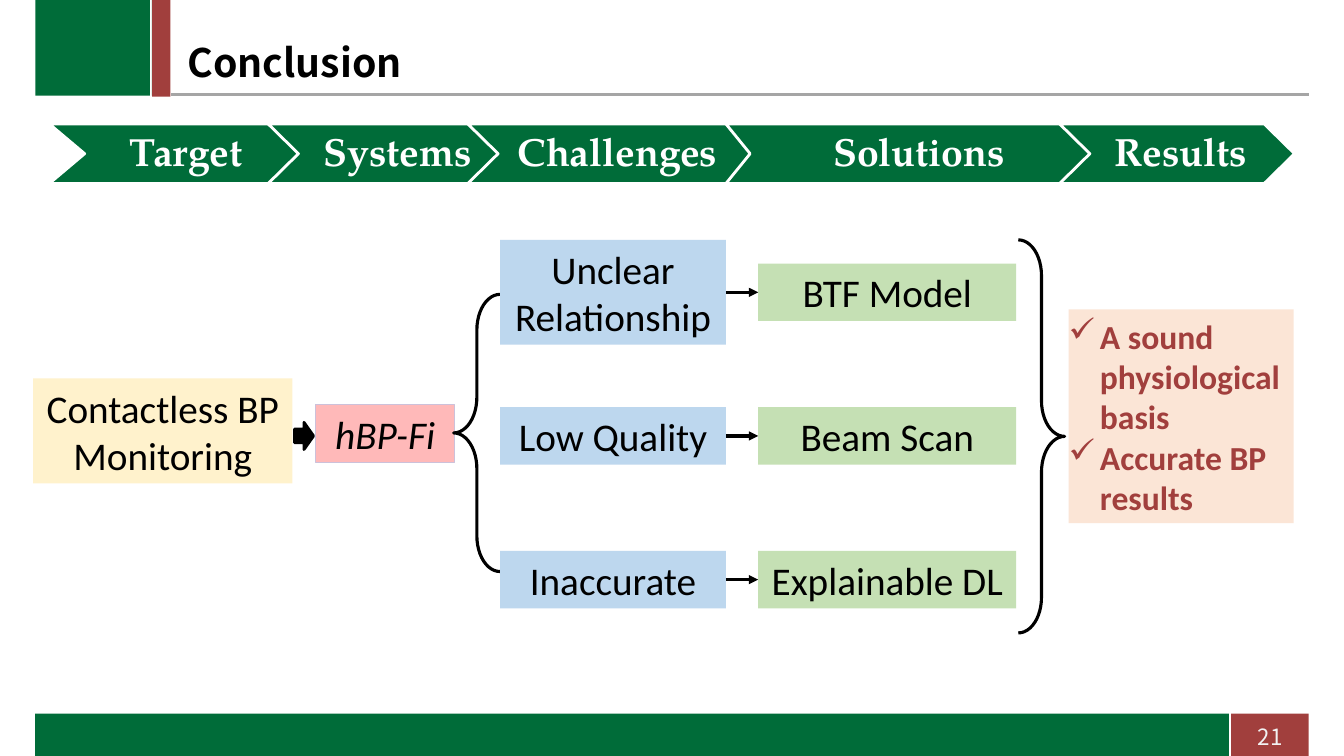
from dataclasses import dataclass

from lxml import etree
from pptx import Presentation
from pptx.dml.color import RGBColor
from pptx.enum.shapes import MSO_CONNECTOR, MSO_SHAPE
from pptx.enum.text import MSO_ANCHOR, PP_ALIGN
from pptx.oxml.ns import qn
from pptx.util import Inches, Pt

RECTANGLE = MSO_SHAPE.RECTANGLE
CHEVRON = MSO_SHAPE.CHEVRON
RIGHT_ARROW = MSO_SHAPE.RIGHT_ARROW
LEFT_BRACE = MSO_SHAPE.LEFT_BRACE
RIGHT_BRACE = MSO_SHAPE.RIGHT_BRACE
STRAIGHT = MSO_CONNECTOR.STRAIGHT
MIDDLE = MSO_ANCHOR.MIDDLE
LEFT, CENTER = PP_ALIGN.LEFT, PP_ALIGN.CENTER
TITLE_ONLY = 5
LEFT_SITE, RIGHT_SITE = 1, 3
GRID = Inches(0.1)


@dataclass(frozen=True)
class Theme:
    green: str = "006C39"
    red: str = "A13F3D"
    grey: str = "A5A5A5"
    white: str = "FFFFFF"
    black: str = "000000"
    number: str = "F2F2F2"
    target: str = "FFF2CC"
    system: str = "FFB9B9"
    system_edge: str = "CCC1DA"
    challenge: str = "BDD7EE"
    solution: str = "C5E0B4"
    result: str = "FBE5D6"
    heading_font: str = "Noto Sans CJK SC"
    step_font: str = "TeX Gyre Pagella"
    body_font: str = "Calibri"
    large: int = 28
    medium: int = 24
    small: int = 16


THEME = Theme()


@dataclass(frozen=True)
class Box:
    column: float
    row: float
    columns: float
    rows: float

    def within(self, column, row, columns, rows):
        return Box(self.column + column, self.row + row, columns, rows)

    def emu(self):
        return [round(v * GRID) for v in (self.column, self.row, self.columns, self.rows)]


def write(holder, text, font=THEME.body_font, size=THEME.large, color=THEME.black,
          bold=False, italic=False, align=CENTER, insets=(0.1, 0.1), spacing=1.0, bullet=None):
    frame = holder.text_frame
    frame.word_wrap = True
    frame.vertical_anchor = MIDDLE
    frame.margin_left, frame.margin_right = map(Inches, insets)
    frame.margin_top = frame.margin_bottom = Inches(0.05)
    frame.text = text
    for paragraph in frame.paragraphs:
        paragraph.alignment = align
        paragraph.line_spacing = spacing
        if bullet:
            properties = paragraph._p.get_or_add_pPr()
            properties.set("marL", str(Inches(0.31)))
            properties.set("indent", str(-Inches(0.31)))
            etree.SubElement(properties, qn("a:buChar")).set("char", bullet)
        for run in paragraph.runs:
            run.font.name = font
            run.font.size = Pt(size)
            run.font.bold = bold
            run.font.italic = italic
            run.font.color.rgb = RGBColor.from_string(color)


def add_block(slide, box, kind=RECTANGLE, fill=None, edge=None, weight=0.75, adjust=()):
    block = slide.shapes.add_shape(kind, *box.emu())
    block.shadow.inherit = False
    if fill:
        block.fill.solid()
        block.fill.fore_color.rgb = RGBColor.from_string(fill)
    else:
        block.fill.background()
    if edge:
        block.line.color.rgb = RGBColor.from_string(edge)
        block.line.width = Pt(weight)
    else:
        block.line.fill.background()
    for index, value in enumerate(adjust):
        block.adjustments[index] = value
    return block


def add_rule(slide, box, color, weight):
    left, top, width, height = box.emu()
    rule = slide.shapes.add_connector(STRAIGHT, left, top, left + width, top + height)
    rule.line.color.rgb = RGBColor.from_string(color)
    rule.line.width = Pt(weight)
    etree.SubElement(rule._element.spPr, qn("a:effectLst"))
    return rule


def link(slide, source, goal):
    arrow = add_rule(slide, Box(0, 0, 0, 0), THEME.black, 2.25)
    arrow.begin_connect(source, RIGHT_SITE)
    arrow.end_connect(goal, LEFT_SITE)
    outline = arrow._element.spPr.find(qn("a:ln"))
    etree.SubElement(outline, qn("a:tailEnd")).set("type", "triangle")


def header(slide, box, title):
    add_rule(slide, box.within(13.5, 9.4, 112.8, 0), THEME.grey, 2.25)
    add_block(slide, box.within(0, 0, 11.5, 9.5), fill=THEME.green)
    add_block(slide, box.within(11.6, 0, 1.8, 9.6), fill=THEME.red)
    add_rule(slide, box.within(11.4, 0, 0, box.rows), THEME.white, 1)
    heading = slide.shapes.title
    heading.left, heading.top, heading.width, heading.height = box.within(14.1, 3.8, 94.5, 5.3).emu()
    write(heading, title, font=THEME.heading_font, bold=True, align=LEFT, spacing=0.9)


def footer(slide, box, number):
    add_block(slide, box.within(118.5, 0, 7.8, box.rows), fill=THEME.red)
    add_block(slide, box.within(0, 0, 118.6, box.rows), fill=THEME.green)
    add_rule(slide, box.within(118.5, -3.9, 0, 8.1), THEME.white, 1)
    page = slide.shapes.add_textbox(*box.within(119.5, 0.4, 6, 3.7).emu())
    write(page, number, font=THEME.heading_font, size=THEME.small, color=THEME.number)


def steps(slide, box, entries):
    for name, start, width, tip in entries:
        step = add_block(slide, box.within(start, 0, width, box.rows), CHEVRON, THEME.green,
                         THEME.white, 2, [tip / box.rows])
        write(step, name, font=THEME.step_font, color=THEME.white, bold=True,
              insets=(0.08, 0), spacing=0.9)


def flow(slide, box, target, system, pairs, results):
    middle, pitch, line_rows = 19.45, 14.25, 5.7

    def node(text, column, columns, rows, center, fill, edge=None, **style):
        block = add_block(slide, box.within(column, center - rows / 2, columns, rows),
                          fill=fill, edge=edge)
        write(block, text, **style)
        return block

    node(target, 0, 25.7, 10.4, middle - 0.5, THEME.target)
    node(system, 28, 13.8, line_rows, middle - 0.25, THEME.system, THEME.system_edge, italic=True)
    node(results, 102.7, 22.3, 21.2, middle - 1.95, THEME.result, size=THEME.medium,
         color=THEME.red, bold=True, align=LEFT, insets=(0, 0), bullet="✓")
    add_block(slide, box.within(25.9, middle - 1.35, 1.9, 2.7), RIGHT_ARROW,
              THEME.black, THEME.black, 2)
    for kind, column, row, rows in ((RIGHT_BRACE, 97.7, 0, box.rows), (LEFT_BRACE, 41.7, 5.4, 27.5)):
        add_block(slide, box.within(column, row, 4.6, rows), kind, edge=THEME.black,
                  weight=2.25, adjust=(0.77, 0.5))
    for index, (challenge, solution) in enumerate(pairs):
        center = middle + (index - 1) * pitch
        rows = 10.4 if "\n" in challenge else line_rows
        problem = node(challenge, 46.3, 22.4, rows, center, THEME.challenge)
        answer = node(solution, 71.9, 25.6, line_rows, center, THEME.solution)
        link(slide, problem, answer)


def main():
    deck = Presentation()
    deck.slide_width, deck.slide_height = Inches(13.33), Inches(7.5)
    slide = deck.slides.add_slide(deck.slide_layouts[TITLE_ONLY])
    header(slide, Box(3.5, 0, 126.3, 11.6), "Conclusion")
    footer(slide, Box(3.5, 70.8, 126.3, 4.2), "21")
    steps(slide, Box(4.9, 12.3, 123.5, 5.9), [
        ("Target", 0, 26.3, 3.5),
        ("Systems", 21.7, 24.9, 3),
        ("Challenges", 41.5, 28.9, 3),
        ("Solutions", 67.1, 37.5, 2.4),
        ("Results", 100.2, 23.3, 3),
    ])
    flow(slide, Box(3.3, 23.8, 125, 39), "Contactless BP Monitoring", "hBP-Fi", [
        ("Unclear\nRelationship", "BTF Model"),
        ("Low Quality", "Beam Scan"),
        ("Inaccurate", "Explainable DL"),
    ], "A sound physiological basis\nAccurate BP results")
    deck.save("out.pptx")


if __name__ == "__main__":
    main()
